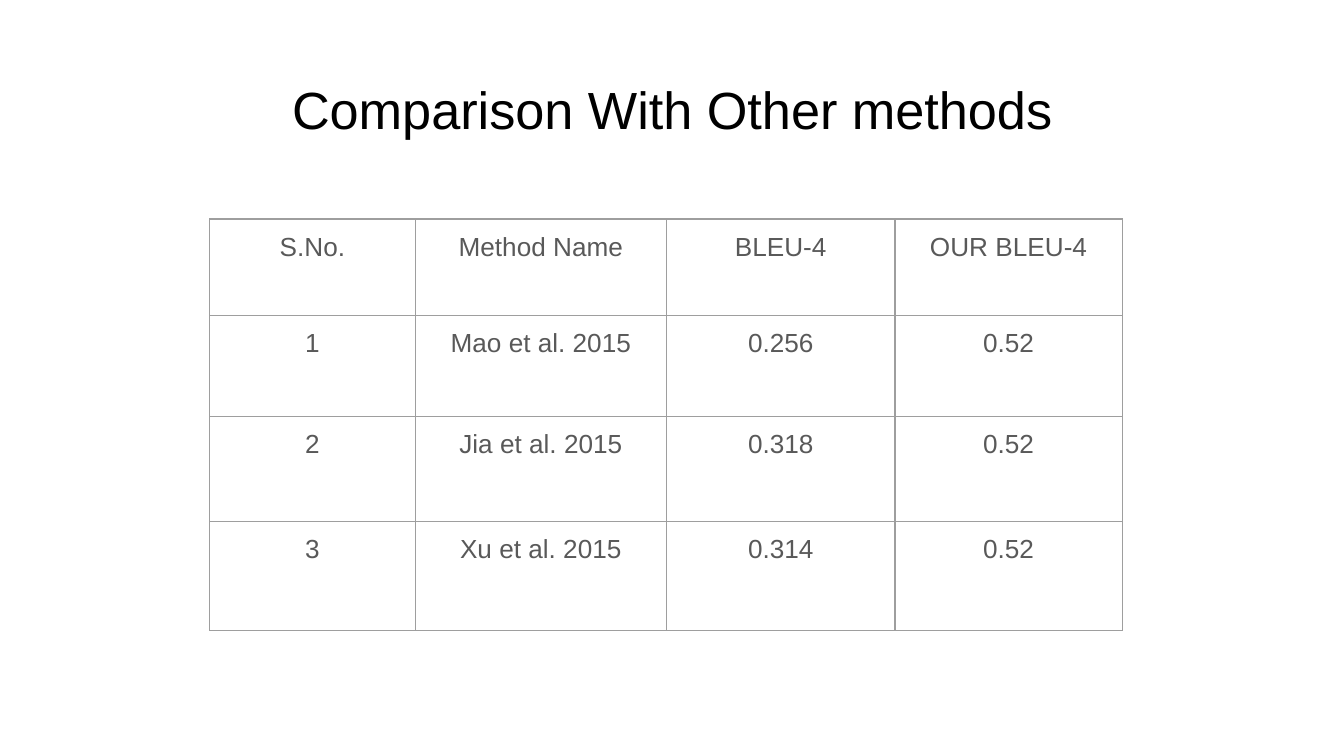
from dataclasses import dataclass

from lxml import etree
from pptx import Presentation, util as u
from pptx.dml.color import RGBColor
from pptx.enum import text
from pptx.oxml import ns


@dataclass(frozen=True)
class Theme:
    """Colours, font and type sizes of the slide."""
    font: str = "Arial"
    title_color: str = "000000"
    body_color: str = "595959"
    border_color: str = "9E9E9E"
    background: str = "FFFFFF"
    title_size: float = 28
    body_size: float = 14
    border_width: float = 0.75
    inset: float = 0.1


THEME = Theme()
TITLE = "Comparison With Other methods"
COLUMN_WIDTHS = (1.53, 1.87, 1.7, 1.69)
ROW_HEIGHTS = (0.72, 0.75, 0.78, 0.81)
RESULTS = (
    ("S.No.", "Method Name", "BLEU-4", "OUR BLEU-4"),
    ("1", "Mao et al. 2015", "0.256", "0.52"),
    ("2", "Jia et al. 2015", "0.318", "0.52"),
    ("3", "Xu et al. 2015", "0.314", "0.52"),
)


def set_insets(holder):
    """Give a cell or text frame the same inset on every side."""
    for side in ("left", "top", "right", "bottom"):
        setattr(holder, f"margin_{side}", u.Inches(THEME.inset))


def add_span(para, words, size, color):
    """Add one centred run to a paragraph."""
    para.alignment = text.PP_ALIGN.CENTER
    span = para.add_run()
    span.text = words
    span.font.name = THEME.font
    span.font.size = u.Pt(size)
    span.font.color.rgb = RGBColor.from_string(color)


def add_title(page, words, left, top, width, height):
    """Add the title, resting on the bottom of its box."""
    box = page.shapes.add_textbox(*map(u.Inches, (left, top, width, height)))
    frame = box.text_frame
    frame.word_wrap = True
    frame.vertical_anchor = text.MSO_ANCHOR.BOTTOM
    set_insets(frame)
    add_span(frame.paragraphs[0], words, THEME.title_size, THEME.title_color)


def add_borders(cell):
    """Draw a thin line on each side of a cell."""
    properties = cell._tc.get_or_add_tcPr()
    for side in ("L", "R", "T", "B"):
        line = etree.SubElement(properties, ns.qn(f"a:ln{side}"),
                                w=str(u.Pt(THEME.border_width)))
        fill = etree.SubElement(line, ns.qn("a:solidFill"))
        etree.SubElement(fill, ns.qn("a:srgbClr"), val=THEME.border_color)


def fill_cell(cell, words):
    """Write and style one table cell."""
    add_borders(cell)
    cell.fill.background()
    cell.vertical_anchor = text.MSO_ANCHOR.TOP
    set_insets(cell)
    add_span(cell.text_frame.paragraphs[0], words, THEME.body_size, THEME.body_color)


def add_results(page, rows, left, top):
    """Add the table of results."""
    extent = (left, top, sum(COLUMN_WIDTHS), sum(ROW_HEIGHTS))
    table = page.shapes.add_table(len(rows), len(COLUMN_WIDTHS),
                                  *map(u.Inches, extent)).table
    table.first_row = table.horz_banding = False
    for column, width in zip(table.columns, COLUMN_WIDTHS):
        column.width = u.Inches(width)
    for row, height, values in zip(table.rows, ROW_HEIGHTS, rows):
        row.height = u.Inches(height)
        for cell, words in zip(row.cells, values):
            fill_cell(cell, words)


def main():
    """Build and save the slide."""
    deck = Presentation()
    deck.slide_width, deck.slide_height = u.Inches(10), u.Inches(10 * 9 / 16)
    page = deck.slides.add_slide(deck.slide_layouts[6])
    page.background.fill.solid()
    page.background.fill.fore_color.rgb = RGBColor.from_string(THEME.background)
    add_title(page, TITLE, 0.34, 0.27, 9.32, 0.87)
    add_results(page, RESULTS, 1.56, 1.63)
    deck.save("out.pptx")


if __name__ == "__main__":
    main()
